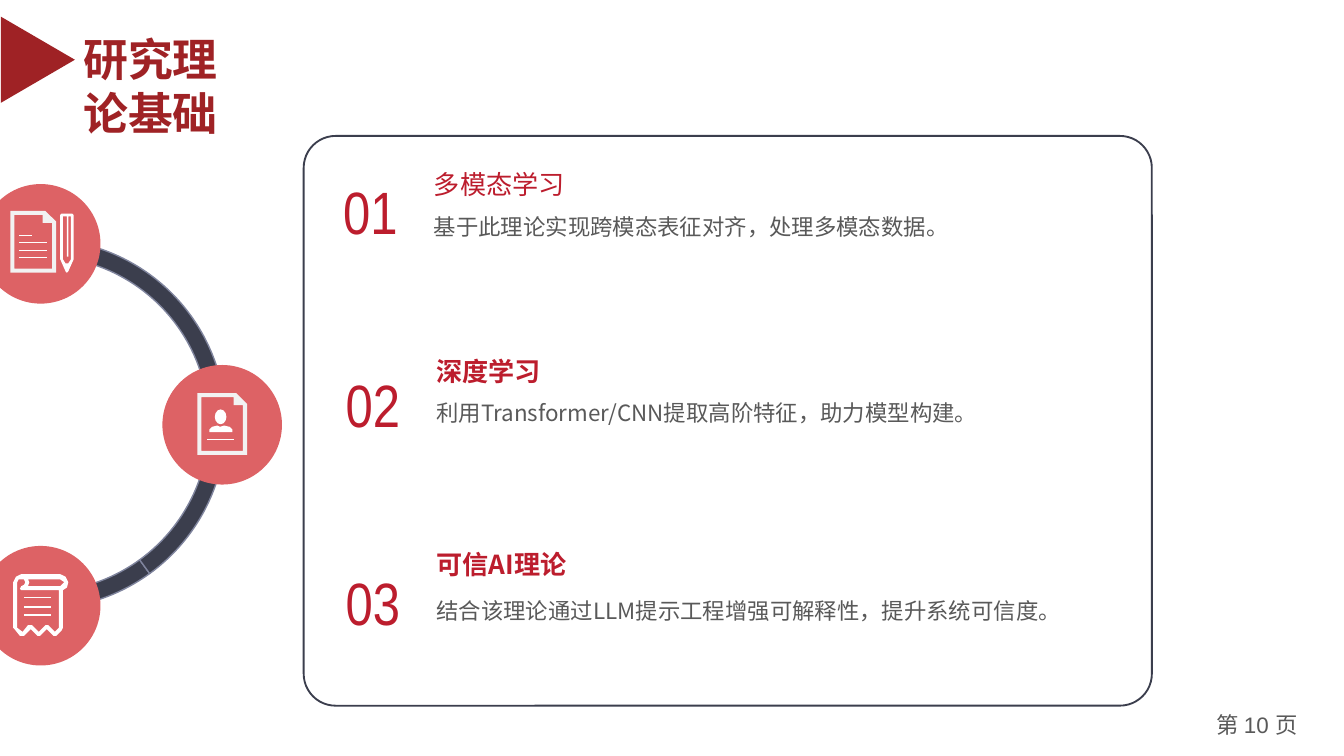
from dataclasses import dataclass
from pptx import Presentation as Deck
from pptx.dml.color import RGBColor as Rgb
from pptx.enum.shapes import MSO_SHAPE as Kind
from pptx.enum.text import MSO_ANCHOR as Anchor, MSO_AUTO_SIZE as Fit, PP_ALIGN as Align
from pptx.oxml.ns import qn
from pptx.util import Cm, Pt


@dataclass(frozen=True)
class Theme:
    # Colours
    brand: str = "9F2225"
    red: str = "BC1D2D"
    coral: str = "DD6265"
    navy: str = "3B3E4D"
    edge: str = "80859E"
    grey: str = "595959"
    white: str = "FFFFFF"
    pale: str = "F2F2F2"
    # Fonts
    sans: str = "Arial"
    slim: str = "Arial Narrow"
    han: str = "Noto Sans CJK SC"
    # Type sizes
    title: int = 24
    digit: int = 32
    head: int = 14
    body: int = 12


class Page:
    def __init__(self, deck, theme):
        self.theme = theme
        self.slide = deck.slides.add_slide(deck.slide_layouts[5])
        self.shapes = self.slide.shapes

    def paint(self, shape, fill=None, line=None, width=0.75):
        shape.shadow.inherit = False
        if fill:
            shape.fill.solid()
            shape.fill.fore_color.rgb = Rgb.from_string(fill)
        else:
            shape.fill.background()
        if line:
            shape.line.color.rgb = Rgb.from_string(line)
            shape.line.width = Pt(width)
        else:
            shape.line.fill.background()

    def shape(self, kind, box, fill=None, line=None, width=0.75, adj=(), turn=0):
        item = self.shapes.add_shape(kind, *map(Cm, box))
        for i, value in enumerate(adj):
            item.adjustments[i] = value
        item.rotation = turn
        self.paint(item, fill, line, width)

    def run(self, para, text, size, font, color, bold=False):
        run = para.add_run()
        run.text = text
        face = run.font
        face.size, face.name, face.bold = Pt(size), font, bold
        face.color.rgb = Rgb.from_string(color)
        if font == self.theme.han:
            east = run._r.get_or_add_rPr().makeelement(qn("a:ea"), {"typeface": font})
            face._rPr.find(qn("a:latin")).addnext(east)

    def frame(self, item, align):
        frame = item.text_frame
        frame.word_wrap = True
        frame.auto_size = Fit.NONE
        frame.vertical_anchor = Anchor.TOP
        para = frame.paragraphs[0]
        para.alignment = align
        return para

    def text(self, box, runs, align=Align.LEFT, space=None):
        para = self.frame(self.shapes.add_textbox(*map(Cm, box)), align)
        para.line_spacing = space
        for run in runs:
            self.run(para, *run)

    def title(self, box, text):
        item = self.shapes.title
        item.left, item.top, item.width, item.height = map(Cm, box)
        look = self.theme
        self.run(self.frame(item, Align.LEFT), text, look.title, look.sans, look.brand, True)

    def glyph(self, spot, rings, fill):
        """Closed outlines on a fine grid; later rings cut holes."""
        first, *rest = rings
        pen = self.shapes.build_freeform(*first[0], scale=Cm(0.0254))
        pen.add_line_segments(first[1:], close=True)
        for ring in rest:
            pen.move_to(*ring[0])
            pen.add_line_segments(ring[1:], close=True)
        self.paint(pen.convert_to_shape(*map(Cm, spot)), fill)

    def sheet(self, spot, x, y, w):
        """Page with a folded corner."""
        r, b = x + w, y + 46
        rim = [(x, y), (r - 8, y), (r, y + 8), (r, b), (x, b)]
        hole = [(x + 3, b - 3), (x + 3, y + 3), (r - 10, y + 3),
                (r - 10, y + 9), (r - 3, y + 9), (r - 3, b - 3)]
        self.glyph(spot, [rim, hole], self.theme.pale)

    def rules(self, spot, x, rows):
        for y, w in rows:
            bar = [(x, y), (x + w, y), (x + w, y + 1), (x, y + 1)]
            self.glyph(spot, [bar], self.theme.white)


PENCIL = [
    [(60, 22), (68, 22), (69, 23), (69, 56), (65, 65), (64, 66), (63, 65), (59, 56), (59, 23)],
    [(67, 56), (65, 59), (63, 59), (61, 56), (61, 24), (64, 24), (64, 54), (65, 54),
     (65, 24), (67, 24)],
]
BUST = [[(35, 50), (35, 48), (37, 46), (41, 45), (43, 46), (46, 45), (50, 46), (52, 48), (52, 50)]]
SCROLL = [
    [(30, 21), (59, 21), (63, 23), (65, 27), (64, 31), (61, 33), (61, 61), (60, 63), (56, 67),
     (54, 67), (49, 62), (44, 67), (42, 67), (37, 62), (32, 67), (29, 67), (25, 62), (24, 61),
     (24, 27), (26, 23)],
    [(55, 64), (50, 59), (48, 59), (43, 64), (38, 59), (35, 59), (31, 64), (27, 61), (27, 27),
     (28, 25), (30, 25), (32, 25), (33, 27), (32, 29), (30, 30), (29, 32), (30, 33), (58, 33),
     (58, 61)],
    [(59, 30), (35, 30), (36, 27), (35, 25), (59, 25), (62, 27)],
]
# Left edge, tops of number, heading and body, then the words
TOPICS = [
    (7.95, 3.18, 3.05, 3.76, "多模态学习", False, "基于此理论实现跨模态表征对齐，处理多模态数据。"),
    (8, 6.83, 6.6, 7.26, "深度学习", True, "利用Transformer/CNN提取高阶特征，助力模型构建。"),
    (8, 10.57, 10.24, 11.02, "可信AI理论", True,
     "结合该理论通过LLM提示工程增强可解释性，提升系统可信度。"),
]


def main():
    deck = Deck()
    deck.slide_width, deck.slide_height = Cm(25.4), Cm(14.29)
    look = Theme()
    page = Page(deck, look)

    # Page number
    page.text((22.61, 13.31, 2.29, 0.76), [
        ("第 ", look.body, look.han, look.grey),
        ("10 ", look.body, look.sans, look.grey),
        ("页", look.body, look.han, look.grey),
    ], Align.CENTER)

    # Ring: angles in degrees, 0.6 per degree as an adjustment
    for start, end in [(54, 108), (0, 54), (162, 0)]:
        page.shape(Kind.BLOCK_ARC, (-2.72, 4.52, 6.99, 6.99), look.navy, look.edge,
                   adj=(start * 0.6, end * 0.6, 0.046))

    # Discs on the ring
    spots = [(x, 3.48 + 3.42 * i) for i, x in enumerate((-0.36, 3.07, -0.36))]
    for spot in spots:
        page.shape(Kind.OVAL, (*spot, 2.26, 2.26), look.coral)
    note, card, roll = spots

    # Icons: note with pencil, personal card, paper roll
    page.sheet(note, 22, 20, 34)
    page.rules(note, 28, [(38, 10), (43, 21), (49, 21), (54, 21)])
    page.glyph(note, PENCIL, look.white)
    page.sheet(card, 26, 21, 37)
    page.shape(Kind.OVAL, (card[0] + 0.99, card[1] + 0.84, 0.22, 0.28), look.white)
    page.glyph(card, BUST, look.white)
    page.rules(card, 33, [(55, 20)])
    page.glyph(roll, SCROLL, look.white)
    page.rules(roll, 32, [(38, 20), (45, 20), (51, 20)])

    # Panel, title and its marker
    page.shape(Kind.ROUNDED_RECTANGLE, (5.74, 2.57, 16.03, 10.77), None, look.navy, 1, (0.056,))
    page.title((1.32, 0.48, 3.15, 1.27), "研究理论基础")
    page.shape(Kind.ISOSCELES_TRIANGLE, (-0.1, 0.43, 1.63, 1.4), look.brand, turn=90)

    # Topics
    for i, (x, top, high, low, head, bold, body) in enumerate(TOPICS, 1):
        page.text((x, high, 8.4, 0.86), [(head, look.head, look.han, look.red, bold)])
        page.text((x, low, 13.05, 0.86), [(body, look.body, look.han, look.grey)],
                  Align.JUSTIFY, 1.3)
        page.text((x - 2.03, top, 2.16, 2.01), [(f"{i:02}", look.digit, look.slim, look.red)],
                  Align.CENTER)

    deck.save("out.pptx")


if __name__ == "__main__":
    main()
